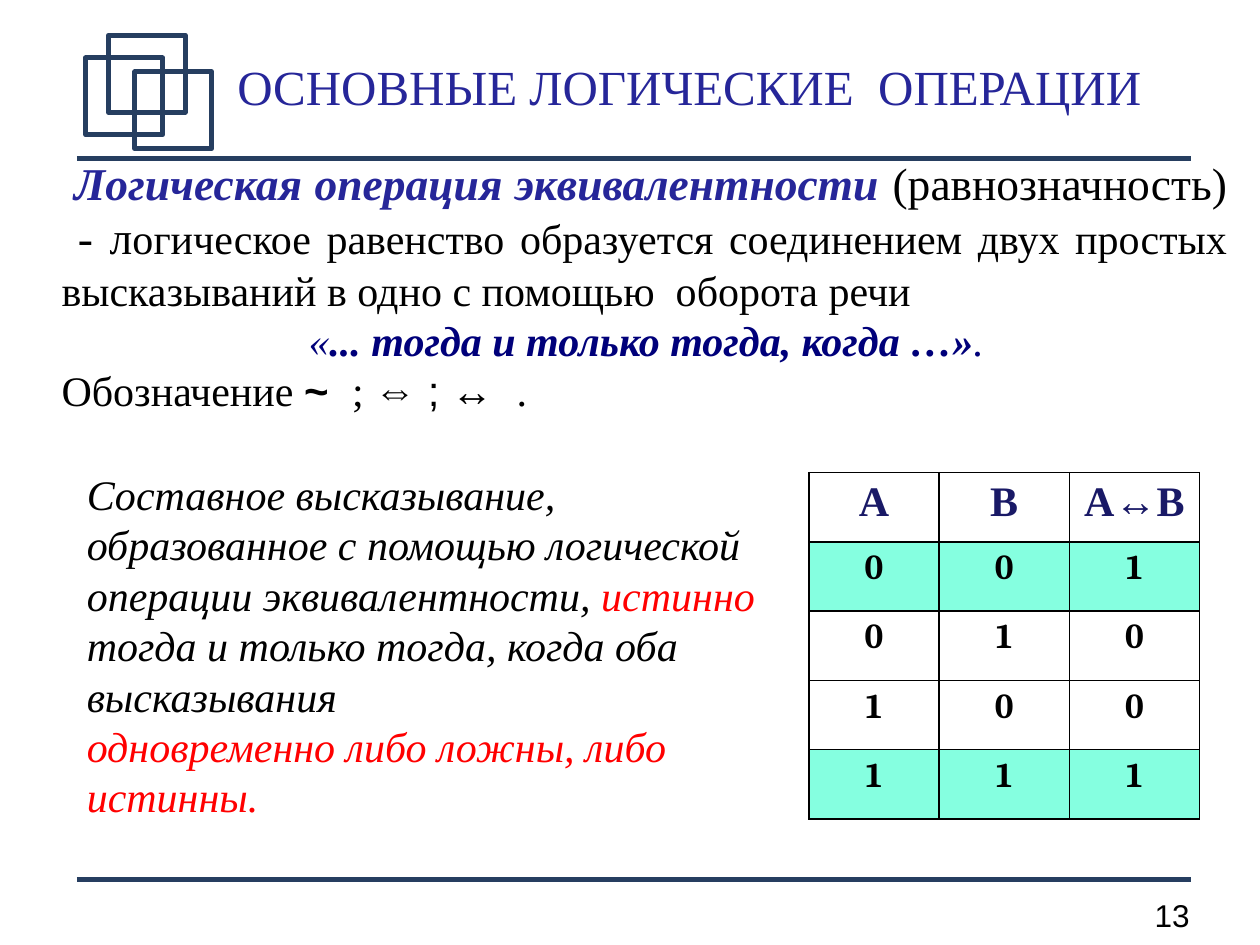
from typing import NamedTuple

from lxml.etree import SubElement
from pptx import Presentation
from pptx.dml.color import RGBColor
from pptx.enum.shapes import MSO_CONNECTOR as Link, MSO_SHAPE as Form
from pptx.enum.text import MSO_ANCHOR as Anchor, MSO_AUTO_SIZE as Fit, PP_ALIGN as Align
from pptx.oxml import parse_xml
from pptx.oxml.ns import nsdecls, qn
from pptx.util import Inches, Pt

NAVY = RGBColor(0x26, 0x3E, 0x60)
BLUE = RGBColor(0x26, 0x26, 0x99)
DEEP = RGBColor(0x00, 0x00, 0x7A)
HEAD = RGBColor(0x19, 0x19, 0x66)
RED = RGBColor(0xFF, 0x00, 0x00)
BLACK = RGBColor(0x00, 0x00, 0x00)
MINT = RGBColor(0x85, 0xFF, 0xE0)
SERIF, SANS, DIGIT = "Times New Roman", "Arial", "Cambria"
WIDE, HIGH = Inches(10), Inches(7.5)
STROKE = Pt(2.83)


class Box(NamedTuple):
    """Place in percent of the slide's width and height."""
    left: float
    top: float
    wide: float
    high: float

    def place(self) -> tuple:
        return across(self.left), down(self.top), across(self.wide), down(self.high)


class Run(NamedTuple):
    text: str
    color: RGBColor = BLACK
    size: float = 24
    font: str = SERIF
    bold: bool = False
    italic: bool = False


def across(share: float) -> int:
    return round(WIDE * share / 100)


def down(share: float) -> int:
    return round(HIGH * share / 100)


def write(frame, *paras, align=Align.LEFT, indents=None, anchor=None) -> None:
    """Fill a text frame; each paragraph is a list of runs."""
    frame.word_wrap = True
    frame.auto_size = Fit.NONE
    if anchor is not None:
        frame.vertical_anchor = anchor
    for n, runs in enumerate(paras):
        para = frame.paragraphs[0] if n == 0 else frame.add_paragraph()
        para.alignment = align
        if indents and n in indents:
            para._p.get_or_add_pPr().set("marL", str(indents[n]))
        for item in runs:
            run = para.add_run()
            run.text = item.text
            font = run.font
            font.name, font.size = item.font, Pt(item.size)
            font.bold, font.italic = item.bold, item.italic
            font.color.rgb = item.color


def add_text(slide, box: Box, *paras, **style) -> None:
    write(slide.shapes.add_textbox(*box.place()).text_frame, *paras, **style)


def add_rule(slide, top: float) -> None:
    y = down(top)
    rule = slide.shapes.add_connector(Link.STRAIGHT, across(6.1), y, across(94.5), y)
    rule.line.color.rgb, rule.line.width = NAVY, STROKE
    SubElement(rule._element.spPr, qn("a:effectLst"))


def add_frame(slide, box: Box) -> None:
    shape = slide.shapes.add_shape(Form.ROUNDED_RECTANGLE, *box.place())
    shape.adjustments[0] = 0
    shape.shadow.inherit = False
    shape.fill.background()
    shape.line.color.rgb, shape.line.width = NAVY, STROKE


def edge(cell) -> None:
    """Draw thin black borders on all four sides of a cell."""
    props = cell._tc.get_or_add_tcPr()
    for n, side in enumerate(("lnL", "lnR", "lnT", "lnB")):
        props.insert(n, parse_xml(
            f'<a:{side} {nsdecls("a")} w="{Pt(1)}"><a:solidFill>'
            f'<a:srgbClr val="{BLACK}"/></a:solidFill></a:{side}>'))


def add_truth(slide, box: Box, heads: list, rows: list) -> None:
    """Draw a truth table, with the true rows tinted."""
    table = slide.shapes.add_table(len(rows) + 1, len(heads), *box.place()).table
    lines = [heads] + [
        [[Run(str(bit), size=20, font=DIGIT, bold=True)] for bit in row] for row in rows]
    for r, line in enumerate(lines):
        for c, runs in enumerate(line):
            cell = table.cell(r, c)
            if r and rows[r - 1][-1]:
                cell.fill.solid()
                cell.fill.fore_color.rgb = MINT
            else:
                cell.fill.background()
            edge(cell)
            write(cell.text_frame, runs, align=Align.CENTER)


def main() -> None:
    deck = Presentation()
    deck.slide_width, deck.slide_height = WIDE, HIGH
    slide = deck.slides.add_slide(deck.slide_layouts[5])

    # Rules, ornament and page number
    for top in (93.07, 16.8):
        add_rule(slide, top)
    for left, top in ((6.8, 6.13), (8.6, 3.73), (10.7, 7.6)):
        add_frame(slide, Box(left, top, 6.1, 8.13))
    add_text(slide, Box(84.5, 94.13, 10.9, 5.33),
             [Run("13", size=18, font=SANS)], align=Align.RIGHT)

    # Title
    title = slide.shapes.title
    title.left, title.top, title.width, title.height = Box(14.1, 5.2, 81.2, 8.27).place()
    write(title.text_frame, [Run("ОСНОВНЫЕ ЛОГИЧЕСКИЕ  ОПЕРАЦИИ", BLUE, 28)],
          align=Align.CENTER, anchor=Anchor.MIDDLE)
    title.text_frame.paragraphs[0].line_spacing = 0.98

    # Definition and notation
    add_text(
        slide, Box(3.9, 15.73, 94.5, 76.13),
        [Run(" Логическая операция эквивалентности ", BLUE, 26, bold=True, italic=True),
         Run("(равнозначность)  - л", size=26),
         Run("огическое равенство образуется соединением двух простых "
             "высказываний в одно с помощью  оборота речи")],
        [Run("«", DEEP, italic=True),
         Run("... тогда и только тогда, когда …»", DEEP, bold=True, italic=True),
         Run(".", DEEP, italic=True)],
        [Run("Обозначение "), Run("~  ", font=SANS, bold=True), Run("; "),
         Run("⇔", font=SANS, bold=True), Run(" ; ", font=SANS),
         Run("↔  ", font=SANS, bold=True), Run(".")],
        align=Align.JUSTIFY, indents={1: across(19.6)})

    # Rule in words
    add_text(
        slide, Box(5.9, 48.93, 55.9, 40.93),
        [Run("Составное высказывание, образованное с помощью логической "
             "операции эквивалентности, ", italic=True),
         Run("истинно", RED, italic=True)],
        [Run("тогда и только тогда, когда оба высказывания", italic=True)],
        [Run("одновременно либо ложны, либо истинны.", RED, italic=True)])

    # Truth table
    a, b = (Run(name, HEAD, bold=True) for name in "AB")
    arrow = Run("↔", HEAD, font=SANS, bold=True)
    rows = [(p, q, int(p == q)) for p in (0, 1) for q in (0, 1)]
    add_truth(slide, Box(64.2, 50, 31, 36.67), [[a], [b], [a, arrow, b]], rows)

    deck.save("out.pptx")


if __name__ == "__main__":
    main()
